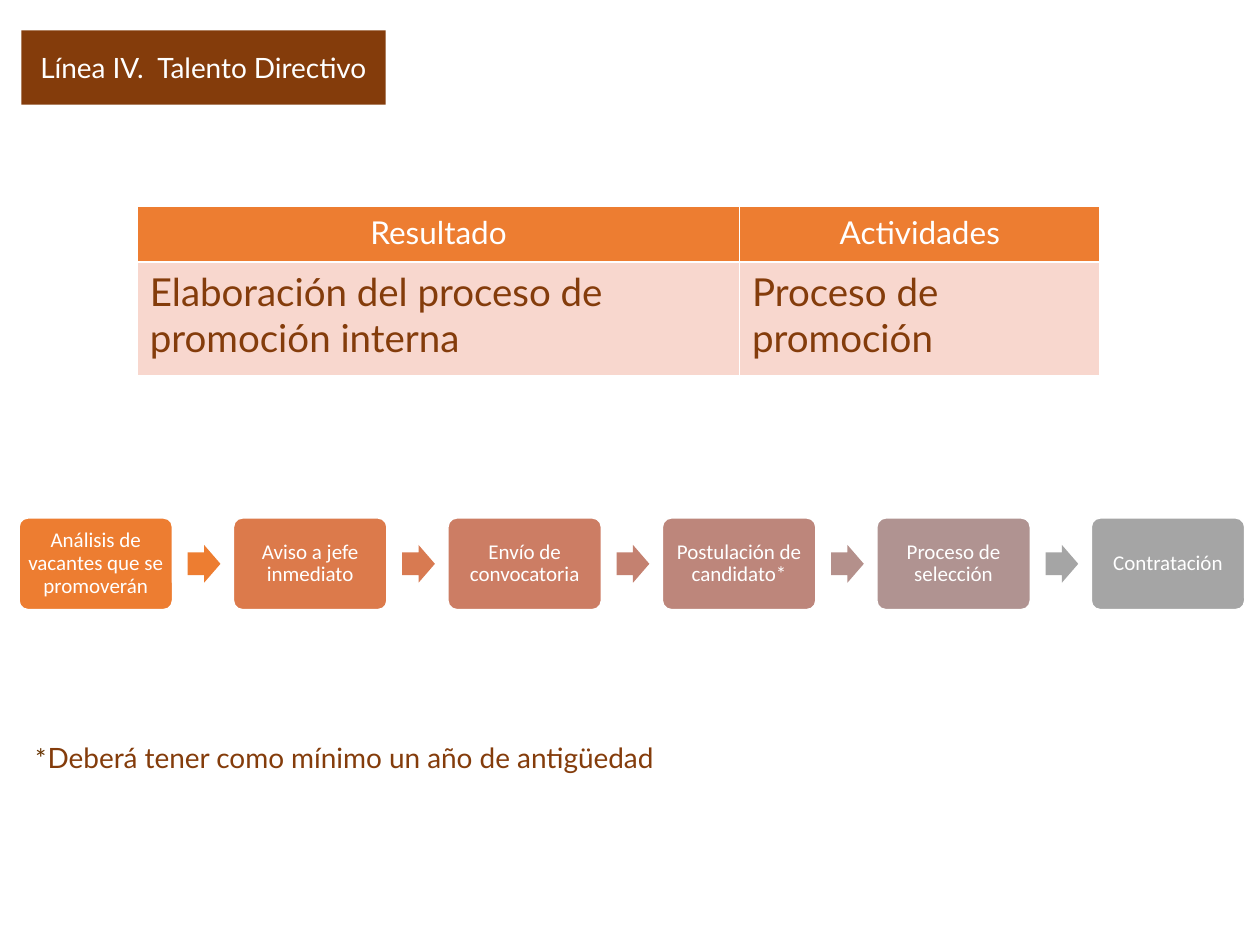
from dataclasses import dataclass

from lxml import etree
from pptx import Presentation
from pptx.dml.color import RGBColor
from pptx.enum.shapes import MSO_SHAPE
from pptx.enum.text import MSO_ANCHOR, MSO_AUTO_SIZE, PP_ALIGN
from pptx.oxml.ns import qn
from pptx.util import Inches, Pt

ROUNDED = MSO_SHAPE.ROUNDED_RECTANGLE
ARROW = MSO_SHAPE.RIGHT_ARROW
MIDDLE = MSO_ANCHOR.MIDDLE
NO_FIT = MSO_AUTO_SIZE.NONE
CENTER = PP_ALIGN.CENTER
LEFT = PP_ALIGN.LEFT

COLORS = {
    "brown": "843C0B",
    "note_mark": "663300",
    "orange": "ED7D31",
    "blush": "F8D7CE",
    "white": "FFFFFF",
}

STEP_LEFT, STEP_TOP, STEP_PITCH = 0.15, 4.11, 1.702
STEP_WIDTH, STEP_HEIGHT = 1.22, 0.73
ARROW_OFFSET, ARROW_WIDTH, ARROW_HEIGHT = 1.34, 0.26, 0.3


@dataclass(frozen=True)
class Step:
    label: str
    color: str
    arrow_color: str = ""


@dataclass(frozen=True)
class Column:
    heading: str
    content: str
    width: float


STEPS = [
    Step("Análisis de vacantes que se promoverán", "ED7D31", "ED7D31"),
    Step("Aviso a jefe inmediato", "DC7A4B", "D87A51"),
    Step("Envío de convocatoria", "CC7D64", "C48170"),
    Step("Postulación de candidato*", "BD867B", "B4908B"),
    Step("Proceso de selección", "B09391", "A5A5A5"),
    Step("Contratación", "A5A5A5"),
]

COLUMNS = [
    Column("Resultado", "Elaboración del proceso de promoción interna", 4.78),
    Column("Actividades", "Proceso de promoción", 2.86),
]


def rgb(color: str) -> RGBColor:
    return RGBColor.from_string(color)


def apply(target, formats: dict) -> None:
    for attribute, value in formats.items():
        setattr(target, attribute, value)


def paint(target, color: str) -> None:
    target.fill.solid()
    target.fill.fore_color.rgb = rgb(color)


def add_run(paragraph, text: str, size: int, color: str, font: str = "Lato") -> None:
    run = paragraph.add_run()
    run.text = text
    apply(run.font, {"name": font, "size": Pt(size), "bold": False})
    run.font.color.rgb = rgb(color)


def add_heading(slide) -> None:
    heading = slide.shapes.title
    apply(heading, {"left": Inches(0.17), "top": Inches(0.24),
                    "width": Inches(2.89), "height": Inches(0.59)})
    paint(heading, COLORS["brown"])
    frame = heading.text_frame
    apply(frame, {"vertical_anchor": MIDDLE, "auto_size": NO_FIT, "word_wrap": True})
    frame.paragraphs[0].alignment = CENTER
    add_run(frame.paragraphs[0], "Línea IV.  Talento Directivo", 16, COLORS["white"])


def add_borders(cell) -> None:
    properties = cell._tc.get_or_add_tcPr()
    for position, side in enumerate(("a:lnL", "a:lnR", "a:lnT", "a:lnB")):
        border = etree.Element(qn(side), w=str(Pt(1)))
        fill = etree.SubElement(border, qn("a:solidFill"))
        etree.SubElement(fill, qn("a:srgbClr"), val=COLORS["white"])
        properties.insert(position, border)


def fill_cell(cell, text: str, size: int, color: str, fill: str, alignment) -> None:
    paint(cell, fill)
    add_borders(cell)
    paragraph = cell.text_frame.paragraphs[0]
    paragraph.alignment = alignment
    add_run(paragraph, text, size, color)


def add_results_table(slide, columns: list[Column]) -> None:
    table = slide.shapes.add_table(2, len(columns), Inches(1.09), Inches(1.64),
                                   Inches(7.64), Inches(1.34)).table
    table.rows[0].height = Inches(0.44)
    table.rows[1].height = Inches(0.9)
    for index, column in enumerate(columns):
        table.columns[index].width = Inches(column.width)
        fill_cell(table.cell(0, index), column.heading, 18,
                  COLORS["white"], COLORS["orange"], CENTER)
        fill_cell(table.cell(1, index), column.content, 22,
                  COLORS["brown"], COLORS["blush"], LEFT)


def add_block(slide, kind, left: float, top: float, width: float, height: float,
              color: str, adjustments: tuple[float, ...]):
    block = slide.shapes.add_shape(kind, Inches(left), Inches(top),
                                   Inches(width), Inches(height))
    block.shadow.inherit = False
    paint(block, color)
    block.line.fill.background()
    for index, value in enumerate(adjustments):
        block.adjustments[index] = value
    return block


def add_step(slide, step: Step, left: float) -> None:
    box = add_block(slide, ROUNDED, left, STEP_TOP, STEP_WIDTH, STEP_HEIGHT,
                    step.color, (0.1,))
    box.line.color.rgb = rgb(COLORS["white"])
    box.line.width = Pt(1)
    frame = box.text_frame
    margins = ("margin_left", "margin_right", "margin_top", "margin_bottom")
    apply(frame, dict.fromkeys(margins, Inches(0.05)))
    apply(frame, {"word_wrap": True, "vertical_anchor": MIDDLE})
    apply(frame.paragraphs[0], {"alignment": CENTER, "line_spacing": 0.9})
    add_run(frame.paragraphs[0], step.label, 12, COLORS["white"], "Calibri")
    if step.arrow_color:
        arrow_top = STEP_TOP + (STEP_HEIGHT - ARROW_HEIGHT) / 2
        add_block(slide, ARROW, left + ARROW_OFFSET, arrow_top, ARROW_WIDTH,
                  ARROW_HEIGHT, step.arrow_color, (0.6, 0.5))


def add_footnote(slide) -> None:
    footnote = slide.shapes.add_textbox(Inches(0.17), Inches(5.83),
                                        Inches(5.21), Inches(0.37))
    footnote.text_frame.word_wrap = True
    paragraph = footnote.text_frame.paragraphs[0]
    add_run(paragraph, "*", 16, COLORS["note_mark"], "Calibri")
    add_run(paragraph, "Deberá tener como mínimo un año de antigüedad", 16,
            COLORS["brown"])


def main() -> None:
    presentation = Presentation()
    apply(presentation, {"slide_width": Inches(10), "slide_height": Inches(7.5)})
    slide = presentation.slides.add_slide(presentation.slide_layouts[5])
    add_heading(slide)
    add_results_table(slide, COLUMNS)
    for index, step in enumerate(STEPS):
        add_step(slide, step, STEP_LEFT + index * STEP_PITCH)
    add_footnote(slide)
    presentation.save("out.pptx")


if __name__ == "__main__":
    main()
